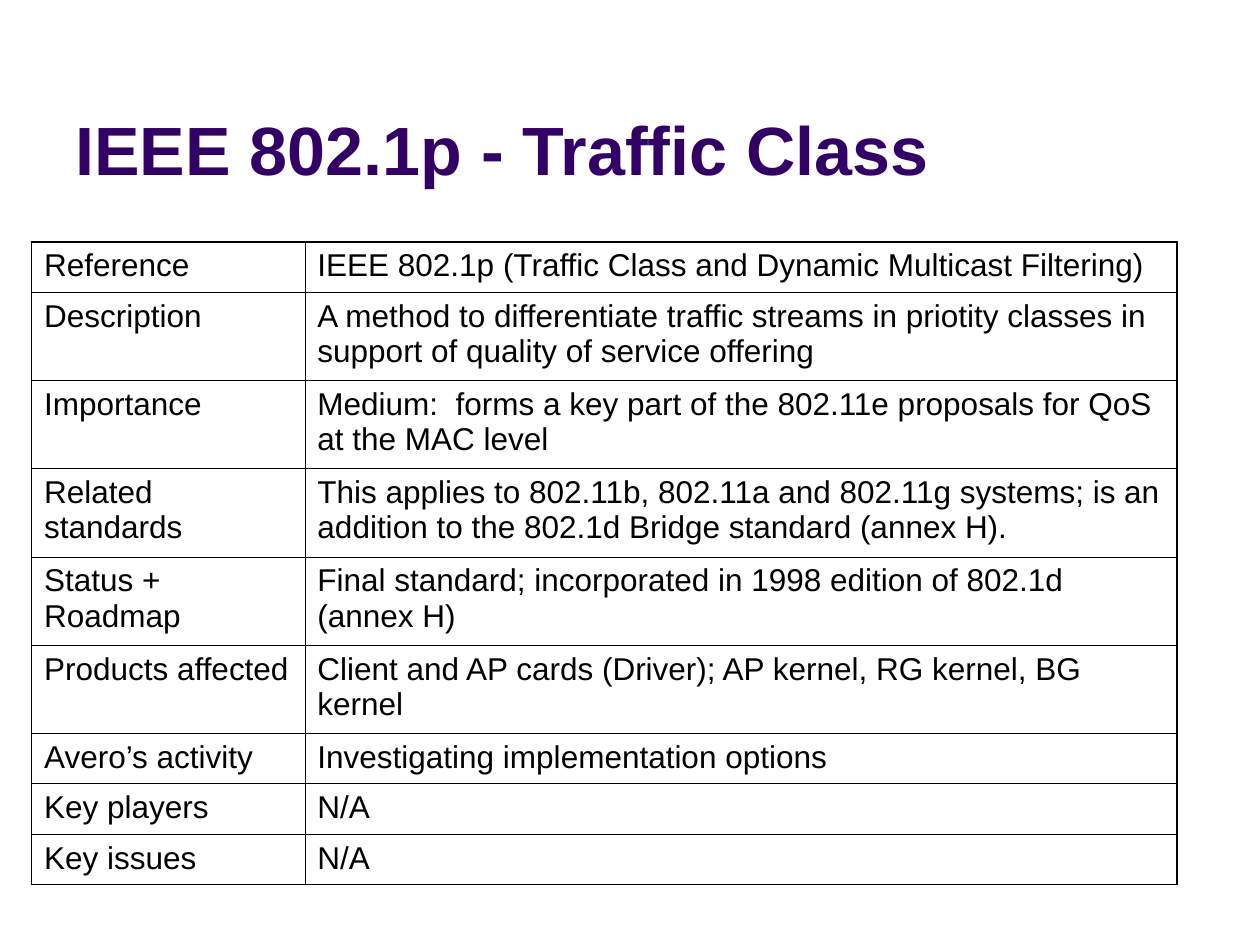
"""Build the IEEE 802.1p traffic class summary slide."""
import pptx
import pptx.dml.color
import pptx.enum.text
import pptx.oxml
import pptx.oxml.ns
import pptx.util
from pptx.util import Inches

COLORS = {"title": "330066", "text": "000000", "border": "000000"}
OUTER_WIDTH, INNER_WIDTH = 1.08, 0.45


def write_text(frame, text, size, color, bold=False, anchor=None):
    frame.word_wrap = True
    if anchor is not None:
        frame.vertical_anchor = anchor
    paragraph = frame.paragraphs[0]
    paragraph.text = text
    paragraph.alignment = pptx.enum.text.PP_ALIGN.LEFT
    for run in paragraph.runs:
        run.font.name = "Arial"
        run.font.size = pptx.util.Pt(size)
        run.font.bold = bold
        run.font.color.rgb = pptx.dml.color.RGBColor.from_string(color)


def set_borders(cell, widths):
    properties = cell._tc.get_or_add_tcPr()
    for position, (side, width) in enumerate(widths.items()):
        line = pptx.oxml.parse_xml(
            f'<a:ln{side} {pptx.oxml.ns.nsdecls("a")} w="{pptx.util.Pt(width)}">'
            f'<a:solidFill><a:srgbClr val="{COLORS["border"]}"/></a:solidFill>'
            f'</a:ln{side}>'
        )
        properties.insert(position, line)


facts = [
    ("Reference", "IEEE 802.1p (Traffic Class and Dynamic Multicast Filtering)", 0.4),
    ("Description", "A method to differentiate traffic streams in priotity classes in "
     "support of quality of service offering", 0.7),
    ("Importance", "Medium:  forms a key part of the 802.11e proposals for QoS "
     "at the MAC level", 0.7),
    ("Related standards", "This applies to 802.11b, 802.11a and 802.11g systems; is an "
     "addition to the 802.1d Bridge standard (annex H).", 0.7),
    ("Status +\vRoadmap", "Final standard; incorporated in 1998 edition of 802.1d "
     "(annex H)", 0.7),
    ("Products affected", "Client and AP cards (Driver); AP kernel, RG kernel, BG kernel", 0.7),
    ("Avero’s activity", "Investigating implementation options", 0.4),
    ("Key players", "N/A", 0.4),
    ("Key issues", "N/A", 0.4),
]

presentation = pptx.Presentation()
presentation.slide_width = Inches(10)
presentation.slide_height = Inches(7.5)
slide = presentation.slides.add_slide(presentation.slide_layouts[5])

title = slide.shapes.title
title.left, title.top = Inches(0.5), Inches(0.13)
title.width, title.height = Inches(8.25), Inches(1.42)
write_text(title.text_frame, "IEEE 802.1p - Traffic Class", size=39, color=COLORS["title"],
           bold=True, anchor=pptx.enum.text.MSO_ANCHOR.BOTTOM)

summary = slide.shapes.add_table(
    len(facts), 2, Inches(0.25), Inches(1.92), Inches(9.08), Inches(5.1)
).table
summary.first_row = False
summary.horz_banding = False
summary.columns[0].width = Inches(2.17)
summary.columns[1].width = Inches(6.92)

for row, (topic, detail, height) in enumerate(facts):
    summary.rows[row].height = Inches(height)
    for column, text in enumerate((topic, detail)):
        cell = summary.cell(row, column)
        cell.fill.background()
        write_text(cell.text_frame, text, size=18, color=COLORS["text"])
        set_borders(cell, {
            "L": OUTER_WIDTH if column == 0 else INNER_WIDTH,
            "R": OUTER_WIDTH if column == 1 else INNER_WIDTH,
            "T": OUTER_WIDTH if row == 0 else INNER_WIDTH,
            "B": OUTER_WIDTH if row == len(facts) - 1 else INNER_WIDTH,
        })

presentation.save("out.pptx")
